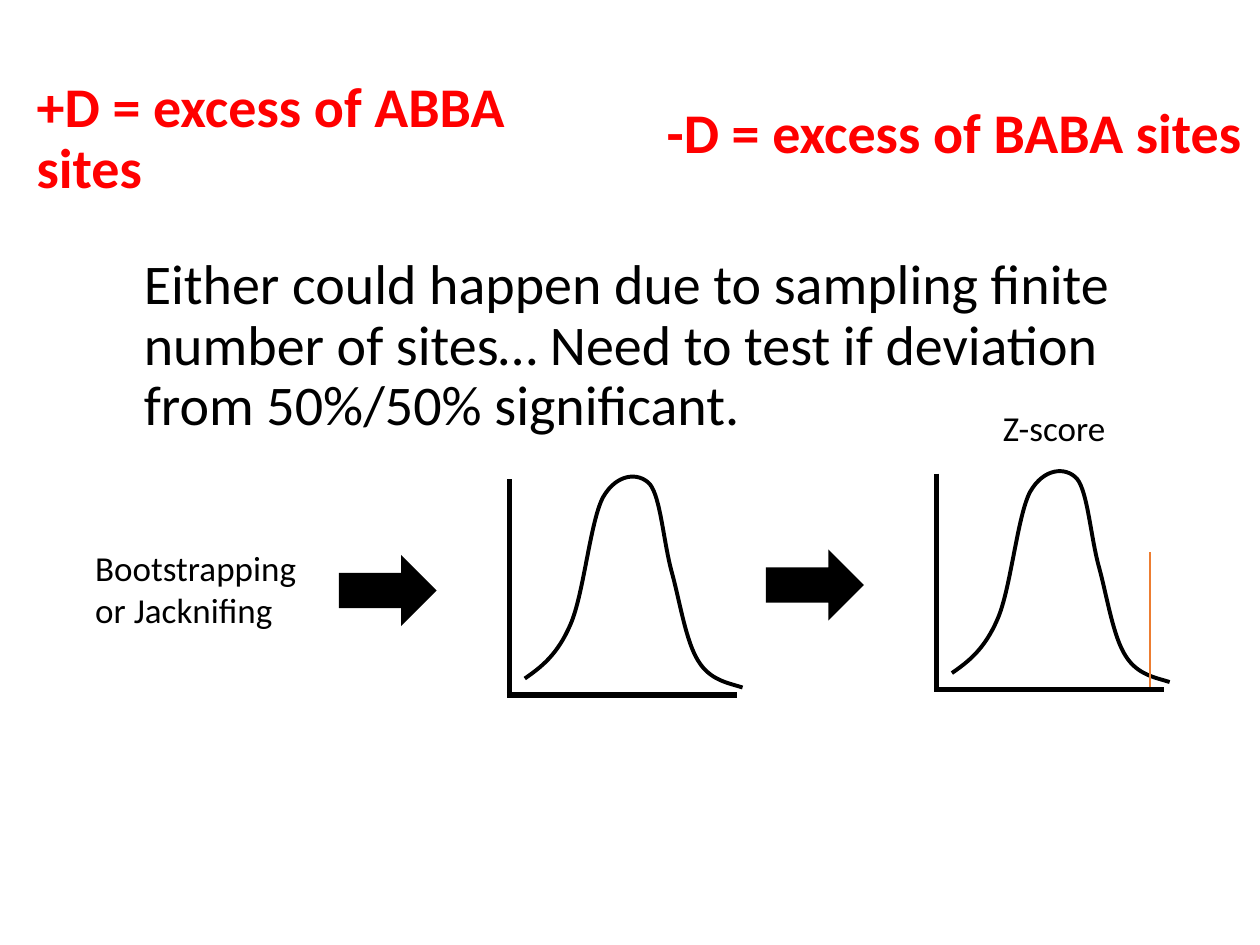
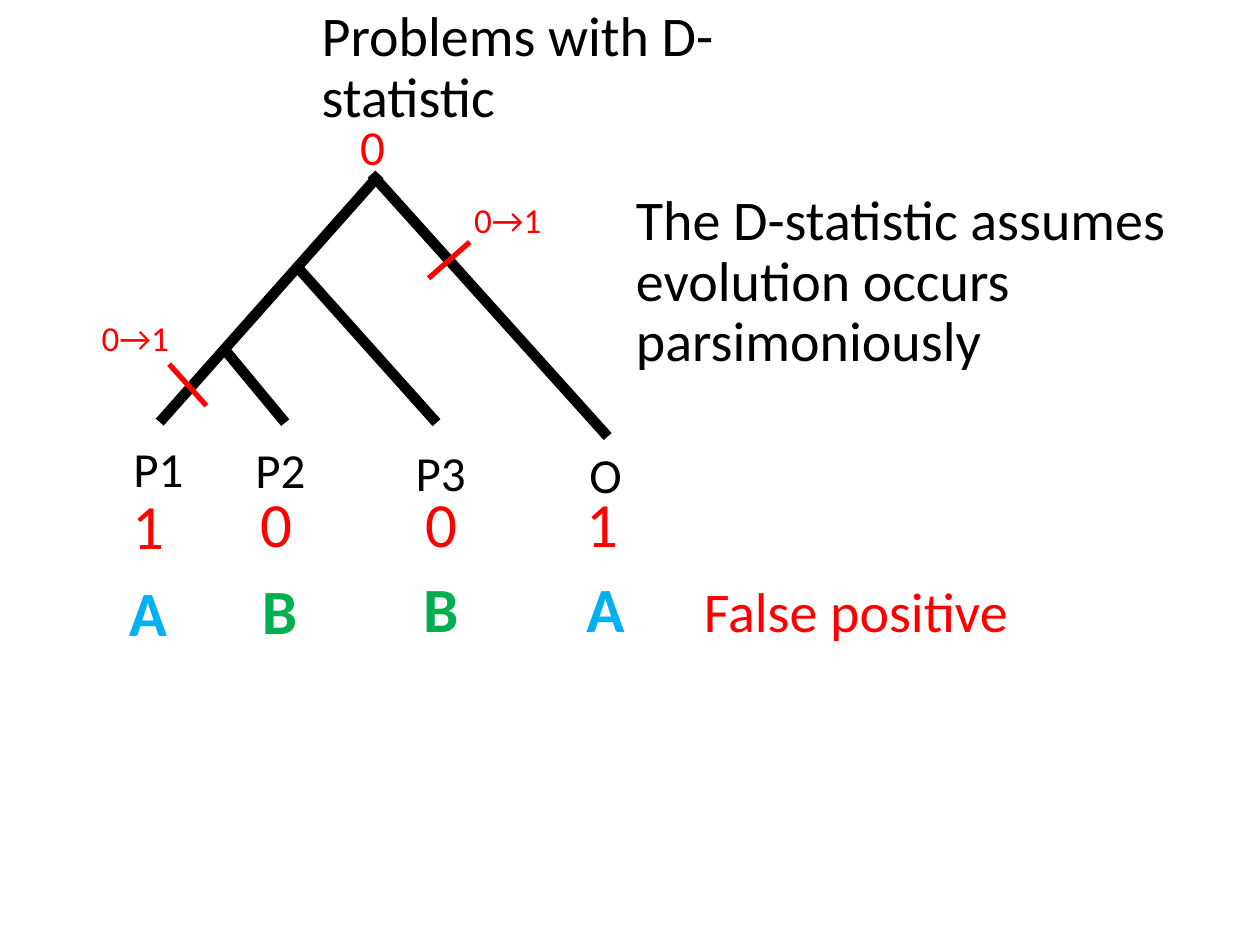
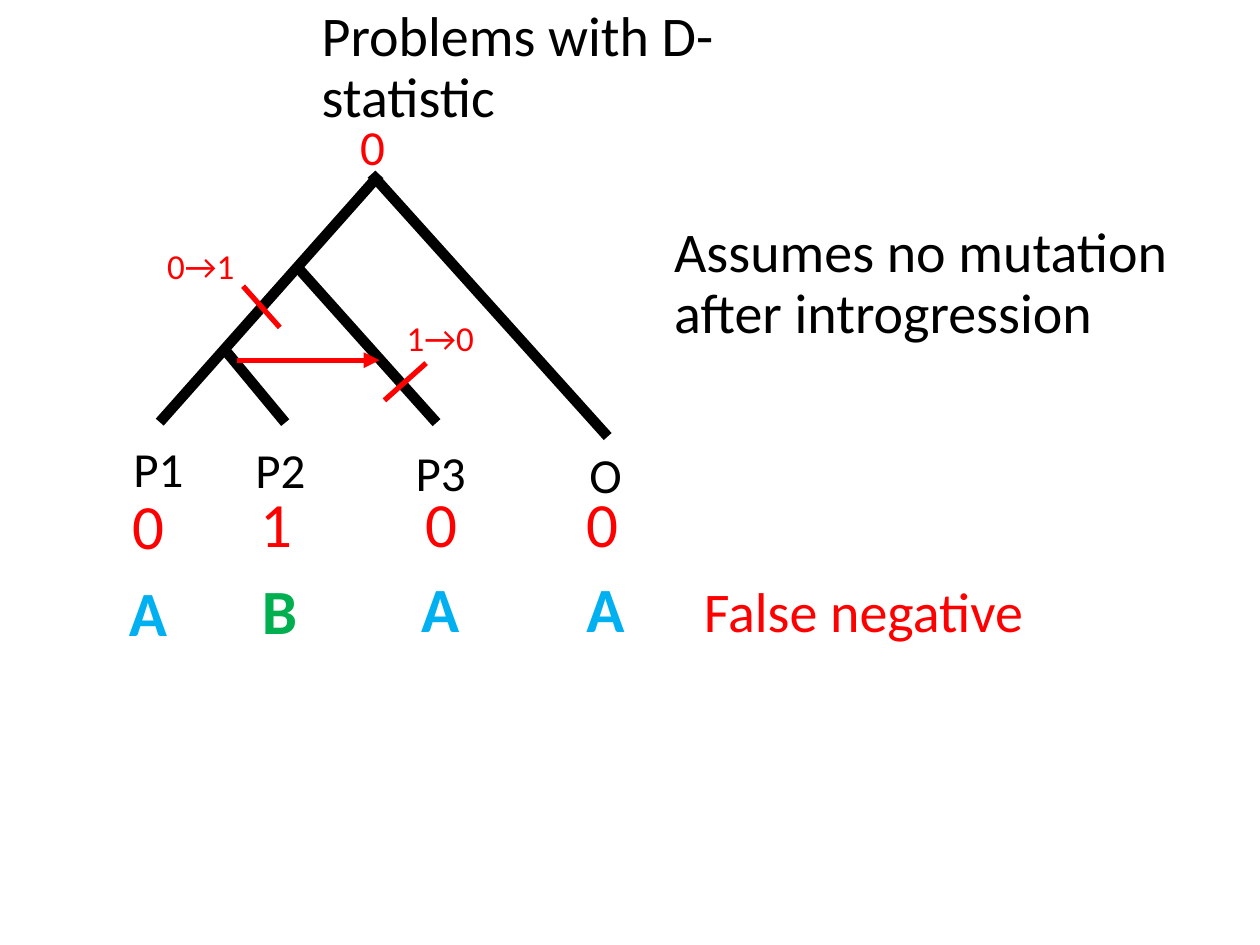
from lxml import etree
from pptx import Presentation
from pptx.dml.color import RGBColor
from pptx.enum import shapes, text
from pptx.oxml.ns import qn
from pptx.util import Cm, Pt

COLORS = {"black": "000000", "red": "FF0000", "blue": "00B0F0",
          "green": "00B050", "orange": "ED7D31"}
FONT = "Calibri"
TITLE_BOX = (6.23, 0.27, 11.76, 2.24)
TREE_ORIGIN = (2.3, 3.5)
VERDICT_BOX = (13.94, 11.49, 7, 1.63)

# Bell curve in cm from the top of the vertical axis: a start, then cubic segments
BELL_BOX = (0.31, -0.05, 4.39, 4.25)
BELL_START = (0.31, 4.02)
BELL_SEGMENTS = [
    ((0.64, 3.79), (0.97, 3.54), (1.23, 2.93)),
    ((1.5, 2.32), (1.63, 0.84), (1.89, 0.36)),
    ((2.16, -0.11), (2.6, -0.15), (2.83, 0.1)),
    ((3.05, 0.36), (3.11, 1.3), (3.28, 1.9)),
    ((3.44, 2.49), (3.56, 3.28), (3.81, 3.67)),
    ((4.05, 4.06), (4.42, 4.11), (4.7, 4.2)),
]

# Tree geometry in cm from TREE_ORIGIN
BRANCHES = [
    (5.35, 0.02, 0.92, 5.01),
    (2.24, 3.56, 3.45, 5.02),
    (3.69, 1.88, 6.5, 5.02),
    (5.19, 0.01, 9.95, 5.3),
]
# Taxon, left and top of its name and state, centre and top of its allele
TIPS = [
    ("P1", (0.14, 5.21), (0.13, 6.18), (0.7, 7.93)),
    ("P2", (2.6, 5.24), (2.7, 6.14), (3.34, 7.9)),
    ("P3", (5.83, 5.29), (6.03, 6.15), (6.59, 7.86)),
    ("O", (9.33, 5.34), (9.28, 6.15), (9.92, 7.86)),
]
# Colour and box width of each allele
ALLELES = {"A": ("blue", 1.3), "B": ("green", 1.22)}


def rgb(name):
    return RGBColor.from_string(COLORS[name])


def write(shape, content, size, color="black", bold=False, spacing=None):
    tf = shape.text_frame
    tf.text = content
    p = tf.paragraphs[0]
    p.alignment = text.PP_ALIGN.LEFT
    if spacing:
        p.line_spacing = spacing
    p.font.name, p.font.size, p.font.bold = FONT, Pt(size), bold
    p.font.color.rgb = rgb(color)
    return tf


def add_label(s, box, content, size, color="black", bold=False, wrap=False):
    sp = s.shapes.add_textbox(*map(Cm, box))
    tf = write(sp, content, size, color, bold)
    tf.word_wrap = wrap
    tf.auto_size = text.MSO_AUTO_SIZE.SHAPE_TO_FIT_TEXT


def fill_statement(sp, content, color="black", bold=False):
    """Large, vertically centred text with tight lines."""
    tf = write(sp, content, 32, color, bold, spacing=0.9)
    tf.word_wrap = True
    tf.auto_size = text.MSO_AUTO_SIZE.NONE
    tf.vertical_anchor = text.MSO_ANCHOR.MIDDLE


def add_statement(s, box, content, color="black", bold=False):
    fill_statement(s.shapes.add_textbox(*map(Cm, box)), content, color, bold)


def set_title(s, content):
    sp = s.shapes.title
    sp.left, sp.top, sp.width, sp.height = map(Cm, TITLE_BOX)
    fill_statement(sp, content)


def add_line(s, origin, ends, width, color="black", arrow=False):
    x, y = origin
    x1, y1, x2, y2 = ends
    line = s.shapes.add_connector(shapes.MSO_CONNECTOR.STRAIGHT,
                                  Cm(x + x1), Cm(y + y1), Cm(x + x2), Cm(y + y2))
    line.line.color.rgb = rgb(color)
    line.line.width = Pt(width)
    if arrow:
        etree.SubElement(line.line._get_or_add_ln(), qn("a:tailEnd"), type="triangle")
    etree.SubElement(line._element.spPr, qn("a:effectLst"))


def add_block_arrow(s, box):
    sp = s.shapes.add_shape(shapes.MSO_SHAPE.RIGHT_ARROW, *map(Cm, box))
    sp.shadow.inherit = False
    sp.fill.solid()
    sp.fill.fore_color.rgb = rgb("black")
    sp.line.color.rgb = rgb("black")
    sp.line.width = Pt(1)
    etree.SubElement(sp.line._get_or_add_ln(), qn("a:miter"), lim="800000")


def add_bell(s, origin):
    """Freeform whose straight segments are exchanged for cubic curves."""
    x, y = origin
    left, top, width, height = BELL_BOX
    builder = s.shapes.build_freeform(*map(Cm, BELL_START))
    builder.add_line_segments([tuple(map(Cm, seg[-1])) for seg in BELL_SEGMENTS],
                              close=False)
    sp = builder.convert_to_shape()
    sp.left, sp.top, sp.width, sp.height = map(Cm, (x + left, y + top, width, height))
    outline = next(sp._element.iter(qn("a:path")))
    outline.set("w", str(Cm(width)))
    outline.set("h", str(Cm(height)))
    for child in list(outline):
        outline.remove(child)
    for tag, points in [("a:moveTo", [BELL_START])] + [
            ("a:cubicBezTo", seg) for seg in BELL_SEGMENTS]:
        command = etree.SubElement(outline, qn(tag))
        for px, py in points:
            etree.SubElement(command, qn("a:pt"),
                             x=str(Cm(px - left)), y=str(Cm(py - top)))
    sp.shadow.inherit = False
    sp.fill.background()
    sp.line.color.rgb = rgb("black")
    sp.line.width = Pt(2.25)


def add_distribution(s, origin):
    """Block arrow leading to axes with a bell curve."""
    x, y = origin
    add_block_arrow(s, (x - 3.42, y + 1.57, 1.93, 1.35))
    add_line(s, origin, (0, 0, 0, 4.39), 3)
    add_line(s, origin, (-0.05, 4.35, 4.58, 4.35), 3)
    add_bell(s, origin)


def add_tree(s, origin, states):
    """Four-taxon tree; a state that matches the outgroup is allele A, else B."""
    x, y = origin
    for branch in BRANCHES:
        add_line(s, origin, branch, 6)
    add_label(s, (x + 4.71, y - 1.28, 1.04, 1.45), "0", 28, "red")
    for (taxon, name_at, state_at, (center, allele_top)), state in zip(TIPS, states):
        allele = "A" if state == states[-1] else "B"
        color, width = ALLELES[allele]
        for (dx, dy), w, h, content, size, hue, bold in (
                (name_at, 1.17 if taxon == "O" else 1.52, 1.45, taxon, 28, "black", False),
                (state_at, 1.18, 1.8, state, 36, "red", False),
                ((center - width / 2, allele_top), width, 1.8, allele, 36, color, True)):
            add_label(s, (x + dx, y + dy, w, h), content, size, hue, bold)


def add_mutation(s, origin, change, label_at, tick):
    x, y = origin
    dx, dy = label_at
    add_label(s, (x + dx, y + dy, 1.93, 1.12), change, 20, "red")
    add_line(s, origin, tick, 3, "red")


def significance_slide(prs):
    s = prs.slides.add_slide(prs.slide_layouts[6])
    add_statement(s, (0.49, 1.32, 12.22, 3), "+D = excess of ABBA sites", "red", True)
    add_statement(s, (13.19, 1.22, 12.22, 3), "-D = excess of BABA sites", "red", True)
    add_statement(s, (2.65, 5, 20.85, 3.99),
                  "Either could happen due to sampling finite number of sites… "
                  "Need to test if deviation from 50%/50% significant.")
    add_label(s, (1.67, 10.9, 4.65, 1.96), "Bootstrapping or Jacknifing", 20, wrap=True)
    z_plot = (18.88, 9.55)
    for origin in ((10.27, 9.66), z_plot):
        add_distribution(s, origin)
    add_line(s, z_plot, (4.3, 1.58, 4.3, 4.29), 1.5, "orange")
    add_label(s, (19.97, 8.08, 2.87, 1.12), "Z-score", 20, wrap=True)


def problem_slide(prs, box, assumption, states, verdict, mutations, introgression=None):
    s = prs.slides.add_slide(prs.slide_layouts[5])
    set_title(s, "Problems with D-statistic")
    add_statement(s, box, assumption)
    add_tree(s, TREE_ORIGIN, states)
    if introgression:
        add_line(s, TREE_ORIGIN, introgression, 3, "red", arrow=True)
    for mutation in mutations:
        add_mutation(s, TREE_ORIGIN, *mutation)
    add_label(s, VERDICT_BOX, verdict, 32, "red")


def main():
    prs = Presentation()
    prs.slide_width, prs.slide_height = Cm(25.4), Cm(19.05)
    significance_slide(prs)
    problem_slide(
        prs, (12.57, 3.92, 11.76, 3.58),
        "The D-statistic assumes evolution occurs parsimoniously",
        "1001", "False positive",
        [("0→1", (7.01, 0.37), (7.17, 1.38, 6.34, 2.11)),
         ("0→1", (-0.5, 2.75), (1.86, 4.68, 1.11, 3.84))])
    problem_slide(
        prs, (13.34, 4.62, 11.76, 2.24),
        "Assumes no mutation after introgression",
        "0100", "False negative",
        [("0→1", (0.82, 1.3), (3.34, 3.1, 2.6, 2.27)),
         ("1→0", (5.65, 2.75), (6.29, 3.82, 5.45, 4.57))],
        introgression=(2.48, 3.76, 5.35, 3.76))
    prs.save("out.pptx")


if __name__ == "__main__":
    main()
